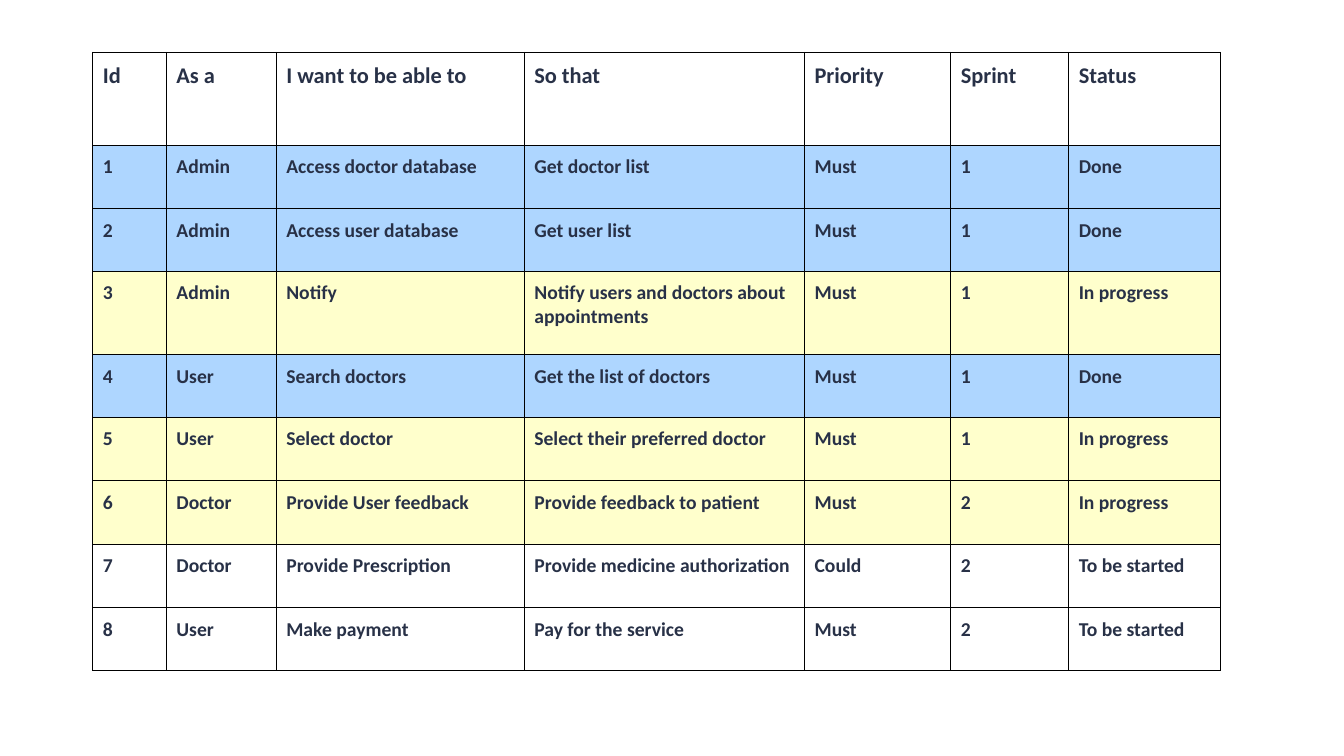
"""Build a product backlog slide with one status-coloured table."""
import pptx
import pptx.dml.color
import pptx.oxml
import pptx.oxml.ns
import pptx.util

Inches = pptx.util.Inches
Pt = pptx.util.Pt
RGBColor = pptx.dml.color.RGBColor

INK = RGBColor(0x28, 0x31, 0x47)
LINE = RGBColor(0x00, 0x00, 0x00)
BLUE = RGBColor(0xAE, 0xD6, 0xFF)
YELLOW = RGBColor(0xFF, 0xFF, 0xCC)
FILLS = {"Done": BLUE, "In progress": YELLOW}

WIDTHS = [0.73, 1.09, 2.46, 2.78, 1.45, 1.17, 1.51]
HEIGHTS = [0.92, 0.63, 0.62, 0.83, 0.62, 0.63, 0.63, 0.63, 0.62]
HEAD = ("Id", "As a", "I want to be able to", "So that", "Priority", "Sprint", "Status")
STORIES = [
    ("Admin", "Access doctor database", "Get doctor list", "Must", "1", "Done"),
    ("Admin", "Access user database", "Get user list", "Must", "1", "Done"),
    ("Admin", "Notify", "Notify users and doctors about appointments", "Must", "1", "In progress"),
    ("User", "Search doctors", "Get the list of doctors", "Must", "1", "Done"),
    ("User", "Select doctor", "Select their preferred doctor", "Must", "1", "In progress"),
    ("Doctor", "Provide User feedback", "Provide feedback to patient", "Must", "2", "In progress"),
    ("Doctor", "Provide Prescription", "Provide medicine authorization", "Could", "2", "To be started"),
    ("User", "Make payment", "Pay for the service", "Must", "2", "To be started"),
]


def add_border(cell):
    """Draw a thin line on all four sides of a cell."""
    props = cell._tc.get_or_add_tcPr()
    for side in ("lnL", "lnR", "lnT", "lnB"):
        props.append(pptx.oxml.parse_xml(
            f'<a:{side} {pptx.oxml.ns.nsdecls("a")} w="{Pt(0.75)}">'
            f'<a:solidFill><a:srgbClr val="{LINE}"/></a:solidFill></a:{side}>'))


def fill_cell(cell, text, size, color):
    """Set the text, font, margins, border and fill of a cell."""
    cell.margin_left = cell.margin_right = Inches(0.1)
    cell.margin_top = cell.margin_bottom = Inches(0.1)
    add_border(cell)
    if color is None:
        cell.fill.background()
    else:
        cell.fill.solid()
        cell.fill.fore_color.rgb = color
    cell.text_frame.text = text
    font = cell.text_frame.paragraphs[0].runs[0].font
    font.name = "Calibri"
    font.size = Pt(size)
    font.bold = True
    font.color.rgb = INK


def add_grid(slide, rows):
    """Add the backlog table, each row coloured by its status."""
    frame = slide.shapes.add_table(
        len(rows), len(WIDTHS), Inches(0.92), Inches(0.52),
        Inches(sum(WIDTHS)), Inches(sum(HEIGHTS)))
    table = frame.table
    table.first_row = False
    table.horz_banding = False
    for column, width in zip(table.columns, WIDTHS):
        column.width = Inches(width)
    for index, (row, height, texts) in enumerate(zip(table.rows, HEIGHTS, rows)):
        row.height = Inches(height)
        size = 14 if index else 16
        for cell, text in zip(row.cells, texts):
            fill_cell(cell, text, size, FILLS.get(texts[-1]))


def main():
    """Create the deck and save it."""
    deck = pptx.Presentation()
    deck.slide_width = Inches(13.33)
    deck.slide_height = Inches(7.5)
    slide = deck.slides.add_slide(deck.slide_layouts[6])
    rows = [(str(number), *story) for number, story in enumerate(STORIES, 1)]
    add_grid(slide, [HEAD, *rows])
    deck.save("out.pptx")


if __name__ == "__main__":
    main()
